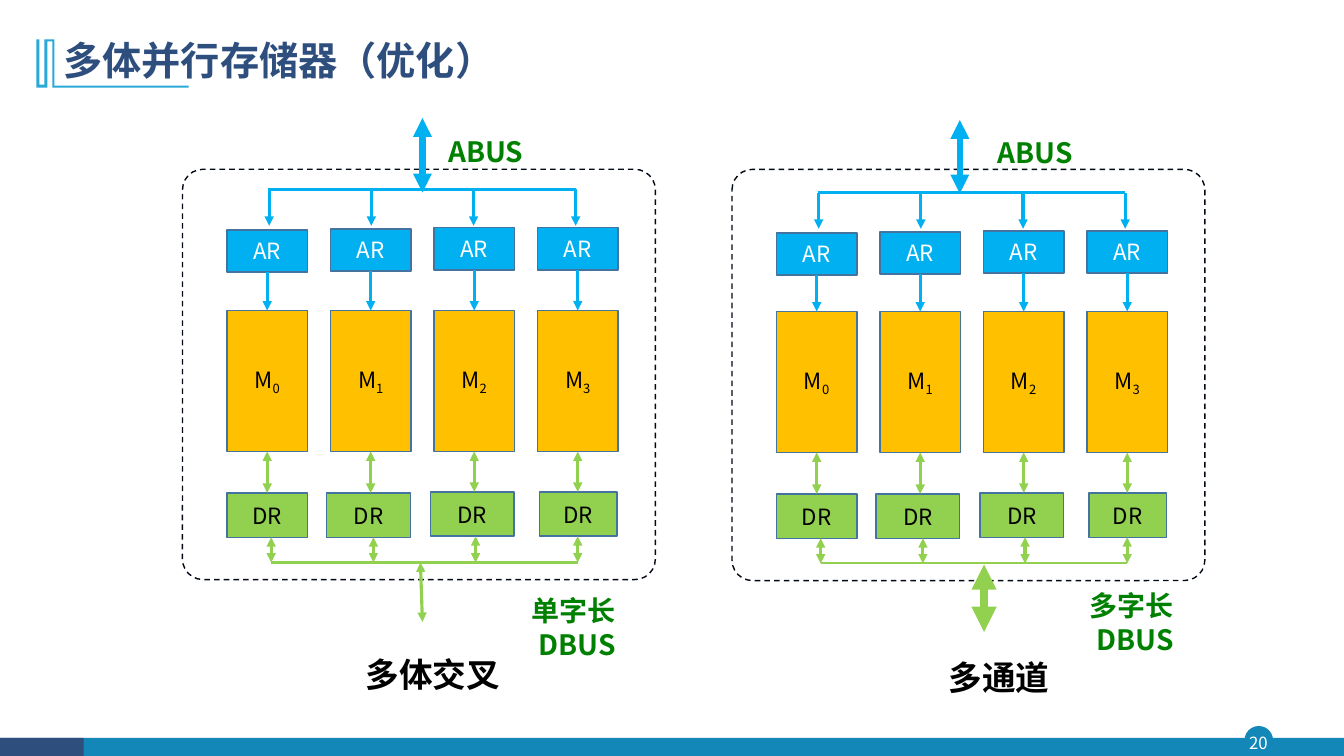
from lxml import etree
from pptx import Presentation
from pptx import util as u
from pptx.dml.color import RGBColor
from pptx.enum import dml, shapes, text
from pptx.oxml import ns

WIDTH, HEIGHT = 13.33, 7.5
FONT = "Noto Sans CJK SC"
color = RGBColor.from_string
BLUE, GREEN, AMBER, EDGE = "00B0F0", "92D050", "FFC000", "43739E"
NAVY, TEAL, LABEL, BLACK, WHITE = "2E4E7E", "1387B7", "008000", "000000", "FFFFFF"

deck = Presentation()
deck.slide_width, deck.slide_height = u.Inches(WIDTH), u.Inches(HEIGHT)
page = deck.slides.add_slide(deck.slide_layouts[5])


def add_box(place, fill=None, line=None, words="", size=16, ink=BLACK, kind="RECTANGLE"):
    box = page.shapes.add_shape(shapes.MSO_SHAPE[kind], *map(u.Inches, place))
    box.shadow.inherit = False
    for part, shade in ((box.fill, fill), (box.line.fill, line)):
        if shade:
            part.solid()
            part.fore_color.rgb = color(shade)
        else:
            part.background()
    if line:
        box.line.width = u.Pt(1)
    if words:
        frame = box.text_frame
        frame.margin_left = frame.margin_right = frame.margin_top = frame.margin_bottom = 0
        frame.word_wrap = True
        frame.vertical_anchor = text.MSO_ANCHOR.MIDDLE
        para = frame.paragraphs[0]
        para.text = words
        para.alignment = text.PP_ALIGN.CENTER
        span = para.runs[0]
        span.font.size, span.font.color.rgb = u.Pt(size), color(ink)
    return box


def add_line(start, end, shade, width=2.25, arrows=""):
    line = page.shapes.add_connector(shapes.MSO_CONNECTOR.STRAIGHT, *map(u.Inches, start + end))
    line.line.color.rgb = color(shade)
    line.line.width = u.Pt(width)
    stroke = line.line._get_or_add_ln()
    for tip in arrows.split():
        etree.SubElement(stroke, ns.qn(f"a:{tip}"), type="triangle")
    etree.SubElement(line._element.spPr, ns.qn("a:effectLst"))
    return line


# Footer band and page number
add_box((12.35, 7.21, 0.27, 0.27), TEAL, TEAL, kind="OVAL")
add_box((0, 7.32, WIDTH, 0.18), TEAL)
add_box((0, 7.32, 0.83, 0.18), NAVY)
add_box((12.32, 7.21, 0.32, 0.31), words="20", size=12, ink=WHITE)

# Title ornament, in hundredths of an inch
corners = [(54, 85), (187, 85), (187, 87), (52, 87), (52, 41), (47, 41), (47, 87),
           (36, 87), (36, 39), (39, 39), (39, 84), (44, 84), (44, 39)]
builder = page.shapes.build_freeform(54, 39, scale=u.Inches(0.01))
builder.add_line_segments(corners, close=True)
ornament = builder.convert_to_shape()
ornament.shadow.inherit = False
ornament.fill.solid()
ornament.fill.fore_color.rgb = color("28A9D6")
ornament.line.fill.background()

# Title
title = page.shapes.title
title.left, title.top, title.width, title.height = map(u.Inches, (0.53, 0.28, 11.5, 0.68))
title.text_frame.text = "多体并行存储器（优化）"
title.text_frame.vertical_anchor = text.MSO_ANCHOR.MIDDLE
para = title.text_frame.paragraphs[0]
para.alignment, para.line_spacing = text.PP_ALIGN.LEFT, 0.9
font = para.runs[0].font
font.size, font.bold, font.color.rgb = u.Pt(28), True, color(NAVY)

# Four memory banks per panel
BANK_PITCH, ARROW_PITCH, BANK_WIDTH = 3.08 / 3, 3.04 / 3, 0.8
AR_TOPS = (2.28, 2.27, 2.26, 2.26)
DR_CELLS = ((0.44, 0.8), (1.43, 0.83), (2.46, 0.83), (3.54, 0.77))
BOTH = "headEnd tailEnd"

# left, drop of lower rows, of AR row and of address bus, ABUS arrow, DBUS arrow, labels (right, top)
panels = [
    (1.81, 0, 0, 0, ((4.19, 1.17), (4.19, 1.91)), ((4.17, 5.58), (4.19, 6.17)), 2.25,
     (("ABUS", 5.19, 1.33), ("单字长 DBUS", 6.11, 5.89), ("多体交叉", 4.96, 6.49))),
    (7.26, 0.01, 0.03, 0.03, ((9.52, 1.19), (9.52, 1.92)), ((9.76, 5.6), (9.76, 6.27)), 6,
     (("ABUS", 10.64, 1.34), ("多字长DBUS", 11.64, 5.84), ("多通道", 10.41, 6.52))),
]

for left, drop, ar_drop, bus_drop, abus, dbus, dbus_width, labels in panels:
    # Dashed frame
    frame_box = add_box((left, 1.68, 4.69, 4.07 + drop), WHITE, "000814", kind="ROUNDED_RECTANGLE")
    frame_box.adjustments[0] = 0.05
    frame_box.line.dash_style = dml.MSO_LINE.DASH

    # Buses
    address_y, data_y = 1.88 + bus_drop, 5.58 + drop
    add_line(*abus, BLUE, 4.5, BOTH)
    add_line((left + 0.85, address_y), (left + 3.9, address_y), BLUE)
    add_line((left + 0.88, data_y), (left + 3.92, data_y), GREEN, 1.5)
    add_line(*dbus, GREEN, dbus_width, BOTH)

    # Address register, memory and data register of each bank
    for bank, (ar_top, (dr_left, dr_width)) in enumerate(zip(AR_TOPS, DR_CELLS)):
        bank_left = left + 0.44 + bank * BANK_PITCH
        middle = bank_left + BANK_WIDTH / 2
        memory_top, dr_top = 3.08 + drop, (4.89 if bank < 2 else 4.88) + drop
        address = add_box((bank_left, ar_top + ar_drop, BANK_WIDTH, 0.42), BLUE, EDGE, "AR", ink=WHITE)
        memory = add_box((bank_left, memory_top, BANK_WIDTH, 1.4), AMBER, EDGE, "M")
        index = memory.text_frame.paragraphs[0].add_run()
        index.text = str(bank)
        index.font.size, index.font.color.rgb = u.Pt(16), color(BLACK)
        index.font._element.set("baseline", "-25000")
        add_box((left + dr_left, dr_top, dr_width, 0.44), GREEN, EDGE, "DR")

        feed_x = left + 0.86 + bank * ARROW_PITCH
        add_line((feed_x, address_y), (feed_x, address_y + 0.36), BLUE, arrows="tailEnd")
        select = add_line((middle, 2.7), (middle, memory_top), BLUE, arrows="tailEnd")
        select.begin_connect(address, 2)
        select.end_connect(memory, 0)
        transfer = add_line((middle, 4.49), (middle, dr_top), GREEN, arrows=BOTH)
        transfer.begin_connect(memory, 2)
        out_x = left + 0.88 + bank * ARROW_PITCH
        add_line((out_x, dr_top + 0.44), (out_x, data_y), GREEN, arrows=BOTH)

    # Bus labels and caption, set flush right
    for (words, right, top), (width, height, size, ink) in zip(
            labels, ((0.9, 0.34, 20, LABEL), (0.9, 0.67, 20, LABEL), (1.4, 0.4, 24, BLACK))):
        label = page.shapes.add_textbox(*map(u.Inches, (right - width, top, width, height)))
        frame = label.text_frame
        frame.word_wrap = True
        frame.margin_left = frame.margin_right = frame.margin_top = frame.margin_bottom = 0
        para = frame.paragraphs[0]
        para.text = words
        para.alignment, para.line_spacing = text.PP_ALIGN.RIGHT, u.Pt(size * 1.2)
        font = para.runs[0].font
        font.size, font.bold, font.color.rgb = u.Pt(size), True, color(ink)

# One typeface for Latin and Chinese text
for shape in page.shapes:
    if shape.has_text_frame:
        for para in shape.text_frame.paragraphs:
            for span in para.runs:
                span.font.name = FONT
                etree.SubElement(span.font._element, ns.qn("a:ea"), typeface=FONT)

deck.save("out.pptx")
